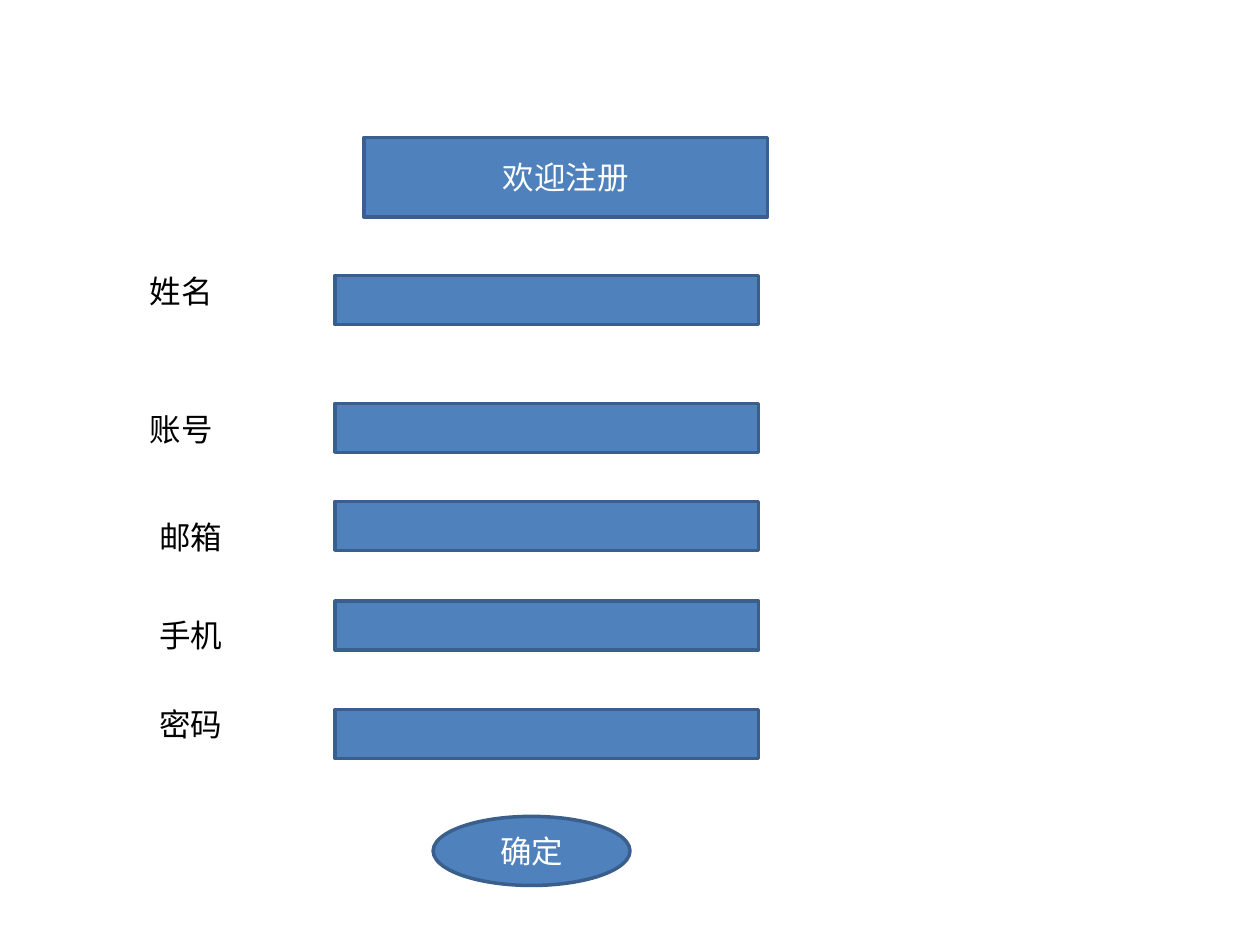
from pptx import Presentation
from pptx import util as u
from pptx.dml.color import RGBColor
from pptx.enum import shapes, text

BLUE = RGBColor(0x4F, 0x81, 0xBD)
DARK_BLUE = RGBColor(0x3A, 0x5F, 0x8C)
WHITE = RGBColor(0xFF, 0xFF, 0xFF)
BLACK = RGBColor(0, 0, 0)
FONT = "Calibri"

FIELD_LEFT, FIELD_WIDTH, FIELD_HEIGHT = 191.5, 242, 28
LABEL_HEIGHT = 29
FIELDS = [
    ("姓名", 78.5, 152, 106.5, 157.5),
    ("账号", 78.5, 230.5, 84, 230.5),
    ("邮箱", 84, 292.5, 73.5, 286.5),
    ("手机", 84, 348.5, 84, 343.5),
    ("密码", 84, 399.5, 96, 405.5),
]


def write(sp, words, color, align):
    p = sp.text_frame.paragraphs[0]
    p.alignment = align
    r = p.add_run()
    r.text = words
    r.font.name = FONT
    r.font.size = u.Pt(18)
    r.font.color.rgb = color


def paint(sp):
    sp.fill.solid()
    sp.fill.fore_color.rgb = BLUE
    sp.line.color.rgb = DARK_BLUE
    sp.line.width = u.Pt(2)
    sp.shadow.inherit = False


def add_title(s, words, left, top, width, height):
    sp = s.shapes.title
    sp.left, sp.top, sp.width, sp.height = map(u.Pt, (left, top, width, height))
    paint(sp)
    tf = sp.text_frame
    tf.auto_size = text.MSO_AUTO_SIZE.NONE
    tf.vertical_anchor = text.MSO_ANCHOR.MIDDLE
    write(sp, words, WHITE, text.PP_ALIGN.CENTER)


def add_box(s, kind, left, top, width, height, words=None):
    sp = s.shapes.add_shape(kind, *map(u.Pt, (left, top, width, height)))
    paint(sp)
    if words:
        sp.text_frame.vertical_anchor = text.MSO_ANCHOR.MIDDLE
        write(sp, words, WHITE, text.PP_ALIGN.CENTER)


def add_label(s, words, left, top, width):
    sp = s.shapes.add_textbox(*map(u.Pt, (left, top, width, LABEL_HEIGHT)))
    tf = sp.text_frame
    tf.word_wrap = True
    tf.auto_size = text.MSO_AUTO_SIZE.SHAPE_TO_FIT_TEXT
    write(sp, words, BLACK, text.PP_ALIGN.LEFT)


def main():
    prs = Presentation()
    prs.slide_width, prs.slide_height = u.Pt(720), u.Pt(540)
    s = prs.slides.add_slide(prs.slide_layouts[5])

    add_title(s, "欢迎注册", 208, 78.5, 230.5, 45.5)
    for words, left, top, width, field_top in FIELDS:
        add_label(s, words, left, top, width)
        add_box(s, shapes.MSO_SHAPE.RECTANGLE,
                FIELD_LEFT, field_top, FIELD_WIDTH, FIELD_HEIGHT)
    add_box(s, shapes.MSO_SHAPE.OVAL, 247.5, 466.5, 112.5, 39.5, "确定")

    prs.save("out.pptx")


main()
